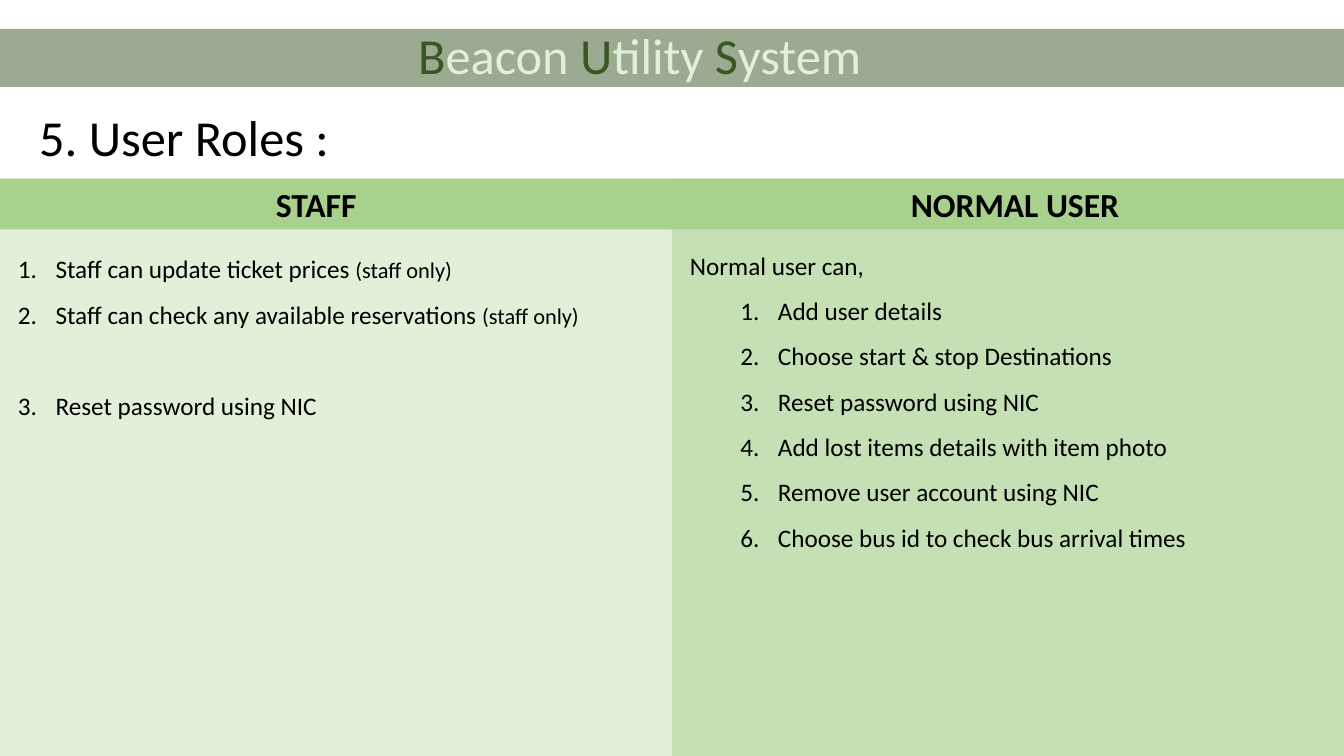
from dataclasses import dataclass

from lxml import etree
from pptx import Presentation
from pptx import util as u
from pptx.dml import color
from pptx.enum import shapes, text
from pptx.oxml import ns

Cm = u.Cm


@dataclass(frozen=True)
class Theme:
    """Colours, type sizes and font of the slide."""
    font: str = "Calibri"
    dark: str = "385723"
    pale: str = "E2F0D9"
    light: str = "C5E0B4"
    mid: str = "A9D18E"
    ink: str = "000000"
    title: int = 36
    head: int = 24
    body: int = 18
    note: int = 16


LOOK = Theme()


def add_tag(parent, name, **attrs):
    """Append a drawing element with the given attributes."""
    return etree.SubElement(parent, ns.qn(name), {k: str(v) for k, v in attrs.items()})


def add_run(para, words, size, hue=LOOK.ink, bold=False):
    """Add one styled run."""
    run = para.add_run()
    run.text = words
    run.font.name = LOOK.font
    run.font.size = u.Pt(size)
    run.font.bold = bold
    run.font.color.rgb = color.RGBColor.from_string(hue)


def add_rect(slide, box, hue, alpha=None):
    """Draw a plain filled rectangle."""
    rect = slide.shapes.add_shape(shapes.MSO_SHAPE.RECTANGLE, *map(Cm, box))
    rect.shadow.inherit = False
    rect.fill.solid()
    rect.fill.fore_color.rgb = color.RGBColor.from_string(hue)
    rect.line.fill.background()
    if alpha:
        tint = rect.fill._xPr.find(".//" + ns.qn("a:srgbClr"))
        add_tag(tint, "a:alpha", val=alpha * 1000)
    return rect


def add_box(slide, box):
    """Add a wrapping text box and return its frame."""
    frame = slide.shapes.add_textbox(*map(Cm, box)).text_frame
    frame.word_wrap = True
    return frame


def add_item(para, left, *parts, gap=0):
    """Fill a numbered paragraph with (words, size) parts."""
    props = para._p.get_or_add_pPr()
    props.set("marL", str(Cm(left)))
    props.set("indent", str(-Cm(0.95)))
    add_tag(props, "a:buFont", typeface="+mj-lt")
    add_tag(props, "a:buAutoNum", type="arabicPeriod")
    para.line_spacing = 1.5
    if gap:
        para.space_before = u.Pt(gap)
    for words, size in parts:
        add_run(para, words, size)


def add_banner(slide, box):
    """Draw the top band with the system name."""
    x, y, w, h = box
    add_rect(slide, box, LOOK.dark, alpha=50)
    para = add_box(slide, (x + 10.29, y - 0.25, 13.26, 1.8)).paragraphs[0]
    for word in ("Beacon ", "Utility ", "System"):
        add_run(para, word[0], LOOK.title, LOOK.dark)
        add_run(para, word[1:], LOOK.title, LOOK.pale)


def add_title(slide, box):
    """Write the slide title."""
    add_run(add_box(slide, box).paragraphs[0], "5. User Roles :", LOOK.title)


def add_heads(slide, box):
    """Draw the header band with both column names on centred tabs."""
    band = add_rect(slide, box, LOOK.mid)
    frame = band.text_frame
    frame.vertical_anchor = text.MSO_ANCHOR.MIDDLE
    para = frame.paragraphs[0]
    para.alignment = text.PP_ALIGN.LEFT
    tabs = add_tag(para._p.get_or_add_pPr(), "a:tabLst")
    for stop in (7.72, 25.33):
        add_tag(tabs, "a:tab", pos=Cm(stop), algn="ctr")
    add_run(para, "\tSTAFF\tNORMAL USER", LOOK.head, bold=True)


def add_staff(slide, box):
    """List what staff can do."""
    x, y, w, h = box
    add_rect(slide, box, LOOK.pale)
    frame = add_box(slide, (x + 0.2, y + 1.39, w - 0.52, 5.89))
    note = ("(staff only)", LOOK.note)
    add_item(frame.paragraphs[0], 0.95,
             ("Staff can update ticket prices ", LOOK.body), note)
    add_item(frame.add_paragraph(), 0.95,
             ("Staff can check any available reservations ", LOOK.body), note)
    add_item(frame.add_paragraph(), 0.95,
             ("Reset password using NIC", LOOK.body), gap=32.5)


def add_user(slide, box):
    """List what a normal user can do."""
    x, y, w, h = box
    add_rect(slide, box, LOOK.light)
    frame = add_box(slide, (x + 0.2, y + 1.29, w - 0.52, 10.49))
    lead = frame.paragraphs[0]
    lead.line_spacing = 1.5
    add_run(lead, "Normal user can,", LOOK.body)
    for words in ("Add user details",
                  "Choose start & stop Destinations",
                  "Reset password using NIC",
                  "Add lost items details with item photo",
                  "Remove user account using NIC",
                  "Choose bus id to check bus arrival times"):
        para = frame.add_paragraph()
        para.level = 1
        add_item(para, 2.22, (words, LOOK.body))


def main():
    """Build and save the slide."""
    deck = Presentation()
    wide, high, top = 33.87, 19.05, 4.5
    deck.slide_width, deck.slide_height = Cm(wide), Cm(high)
    slide = deck.slides.add_slide(deck.slide_layouts[6])
    half = wide / 2
    add_banner(slide, (0, 0.73, wide, 1.46))
    add_title(slide, (0.74, 2.54, 31.57, 2.82))
    add_staff(slide, (0, top, half, high - top))
    add_user(slide, (half, top, half, high - top))
    add_heads(slide, (0, top, wide, 1.28))
    deck.save("out.pptx")


if __name__ == "__main__":
    main()
